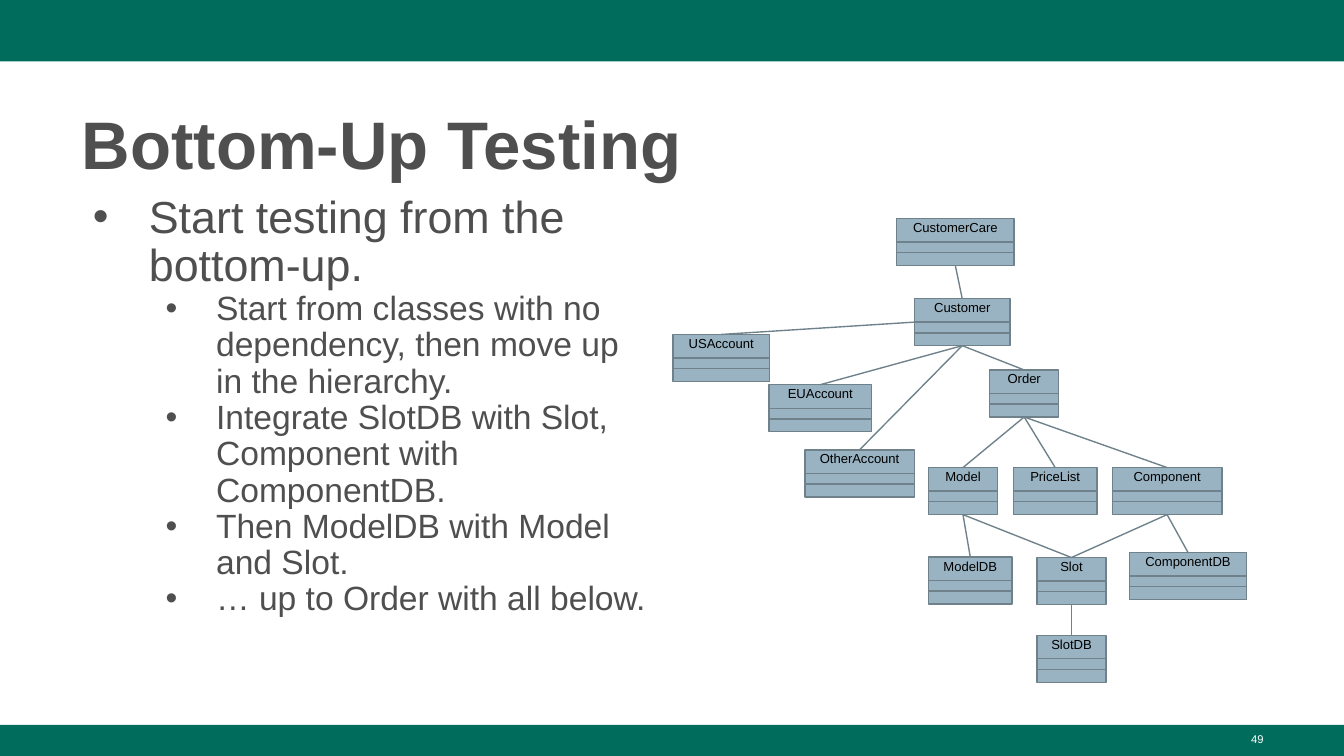
from typing import NamedTuple

from lxml import etree
from pptx import Presentation
from pptx.dml.color import RGBColor
from pptx.enum import shapes, text
from pptx.oxml import ns
from pptx.util import Pt

GREEN = RGBColor(0x00, 0x6C, 0x5C)
GRAY = RGBColor(0x4F, 0x4F, 0x4F)
STEEL = RGBColor(0x99, 0xB3, 0xC2)
SLATE = RGBColor(0x6F, 0x82, 0x8C)
BLACK = RGBColor(0x00, 0x00, 0x00)
WHITE = RGBColor(0xFF, 0xFF, 0xFF)

FONT = "Arial"
PAGE_WIDTH, PAGE_HEIGHT = 720, 405
CLASS_HEIGHT = 25.2
DIVIDERS = (12.6, 18.3)
TOP, LEFT, BOTTOM = 0, 1, 2  # connection sites of a rectangle


class ClassBox(NamedTuple):
    """A UML class: name and place in points."""
    name: str
    left: float
    top: float
    width: float


class Link(NamedTuple):
    """A dependency from a class down to the one it uses."""
    parent: str
    child: str
    site: int = BOTTOM


class Level(NamedTuple):
    """Formatting of one bullet level."""
    size: float
    margin: float
    indent: float
    before: float


CLASSES = [
    ClassBox("USAccount", 360.6, 179.2, 51.5),
    ClassBox("OtherAccount", 431.2, 241, 58.6),
    ClassBox("EUAccount", 412, 206.1, 55),
    ClassBox("Customer", 489.8, 160, 51.4),
    ClassBox("CustomerCare", 480.4, 117.1, 62.8),
    ClassBox("Order", 530.2, 198.2, 37),
    ClassBox("Model", 497.4, 250.5, 37),
    ClassBox("PriceList", 542.9, 250.5, 44.8),
    ClassBox("Component", 595.9, 250.5, 58.7),
    ClassBox("Slot", 555.5, 298.7, 37),
    ClassBox("ModelDB", 497.4, 298.4, 44.8),
    ClassBox("SlotDB", 555.5, 340.3, 37),
    ClassBox("ComponentDB", 605, 295.9, 62.8),
]
LINKS = [
    Link("CustomerCare", "Customer"),
    Link("Customer", "USAccount", LEFT),
    Link("Customer", "EUAccount"),
    Link("Customer", "OtherAccount"),
    Link("Customer", "Order"),
    Link("Order", "Model"),
    Link("Order", "PriceList"),
    Link("Order", "Component"),
    Link("Model", "ModelDB"),
    Link("Model", "Slot"),
    Link("Component", "Slot"),
    Link("Component", "ComponentDB"),
    Link("Slot", "SlotDB"),
]
LEVELS = [Level(24, 36, -30, 10), Level(18, 72, -27, 0)]
BULLETS = [
    (0, "Start testing from the bottom-up. "),
    (1, "Start from classes with no dependency, then move up in the hierarchy."),
    (1, "Integrate SlotDB with Slot, Component with ComponentDB."),
    (1, "Then ModelDB with Model and Slot."),
    (1, "… up to Order with all below."),
]


def add_span(para, words: str, size: float, color: RGBColor, bold: bool = False):
    """Append one formatted run to a paragraph."""
    span = para.add_run()
    span.text = words
    span.font.name, span.font.size, span.font.bold = FONT, Pt(size), bold
    span.font.color.rgb = color


def add_rect(page, left: float, top: float, width: float, height: float, fill: RGBColor):
    """Draw a plain filled rectangle."""
    box = page.shapes.add_shape(
        shapes.MSO_SHAPE.RECTANGLE, Pt(left), Pt(top), Pt(width), Pt(height))
    box.shadow.inherit = False
    box.fill.solid()
    box.fill.fore_color.rgb = fill
    box.line.fill.background()
    return box


def add_line(page, x1: float, y1: float, x2: float, y2: float):
    """Draw a thin straight line without a shadow."""
    line = page.shapes.add_connector(
        shapes.MSO_CONNECTOR.STRAIGHT, Pt(x1), Pt(y1), Pt(x2), Pt(y2))
    line.line.color.rgb = SLATE
    line.line.width = Pt(0.75)
    etree.SubElement(line._element.spPr, ns.qn("a:effectLst"))
    return line


def add_text_box(page, left: float, top: float, width: float, height: float):
    """Add a wrapping text box and return its frame."""
    box = page.shapes.add_textbox(Pt(left), Pt(top), Pt(width), Pt(height))
    box.text_frame.word_wrap = True
    return box.text_frame


def add_class(page, item: ClassBox):
    """Draw a class with its name and two compartment dividers."""
    box = add_rect(page, item.left, item.top, item.width, CLASS_HEIGHT, STEEL)
    box.line.color.rgb = SLATE
    box.line.width = Pt(0.75)
    frame = box.text_frame
    frame.margin_left = frame.margin_right = frame.margin_bottom = 0
    frame.margin_top = Pt(0.5)
    frame.vertical_anchor = text.MSO_ANCHOR.TOP
    frame.paragraphs[0].alignment = text.PP_ALIGN.CENTER
    add_span(frame.paragraphs[0], item.name, 7, BLACK)
    for offset in DIVIDERS:
        y = item.top + offset
        add_line(page, item.left, y, item.left + item.width, y)
    return box


def add_bullet(para, level: int, words: str):
    """Fill a paragraph as a bullet of the given level."""
    style = LEVELS[level]
    para.level = level
    para.line_spacing = 0.9
    para.space_before = Pt(style.before)
    props = para._p.get_or_add_pPr()
    props.set("marL", str(Pt(style.margin)))
    props.set("indent", str(Pt(style.indent)))
    color = etree.SubElement(props, ns.qn("a:buClr"))
    etree.SubElement(color, ns.qn("a:srgbClr"), val=str(GRAY))
    etree.SubElement(props, ns.qn("a:buFont"), typeface=FONT)
    etree.SubElement(props, ns.qn("a:buChar"), char="•")
    add_span(para, words, style.size, GRAY)


def set_title(page, words: str):
    """Place and format the title placeholder."""
    title = page.shapes.title
    title.left, title.top, title.width, title.height = Pt(36.7), Pt(48.2), Pt(647), Pt(52.6)
    frame = title.text_frame
    frame.auto_size = text.MSO_AUTO_SIZE.NONE
    frame.vertical_anchor = text.MSO_ANCHOR.MIDDLE
    para = frame.paragraphs[0]
    para.alignment = text.PP_ALIGN.LEFT
    para.line_spacing = 1.08
    add_span(para, words, 36, GRAY, bold=True)


def build():
    """Build and save the deck."""
    deck = Presentation()
    deck.slide_width, deck.slide_height = Pt(PAGE_WIDTH), Pt(PAGE_HEIGHT)
    page = deck.slides.add_slide(deck.slide_layouts[5])
    add_rect(page, 0, 0, PAGE_WIDTH, 33, GREEN)
    add_rect(page, 0, 388.3, PAGE_WIDTH, 16.7, GREEN)
    set_title(page, "Bottom-Up Testing")

    body = add_text_box(page, 36.7, 100.8, 319, 274.3)
    for index, (level, words) in enumerate(BULLETS):
        add_bullet(body.add_paragraph() if index else body.paragraphs[0], level, words)

    boxes = {item.name: add_class(page, item) for item in CLASSES}
    for link in LINKS:
        line = add_line(page, 0, 0, 0, 0)
        line.begin_connect(boxes[link.parent], link.site)
        line.end_connect(boxes[link.child], TOP)

    number = add_text_box(page, 516.2, 388.8, 167.8, 16.2).paragraphs[0]
    number.alignment = text.PP_ALIGN.RIGHT
    add_span(number, "49", 6, WHITE)
    deck.save("out.pptx")


build()
